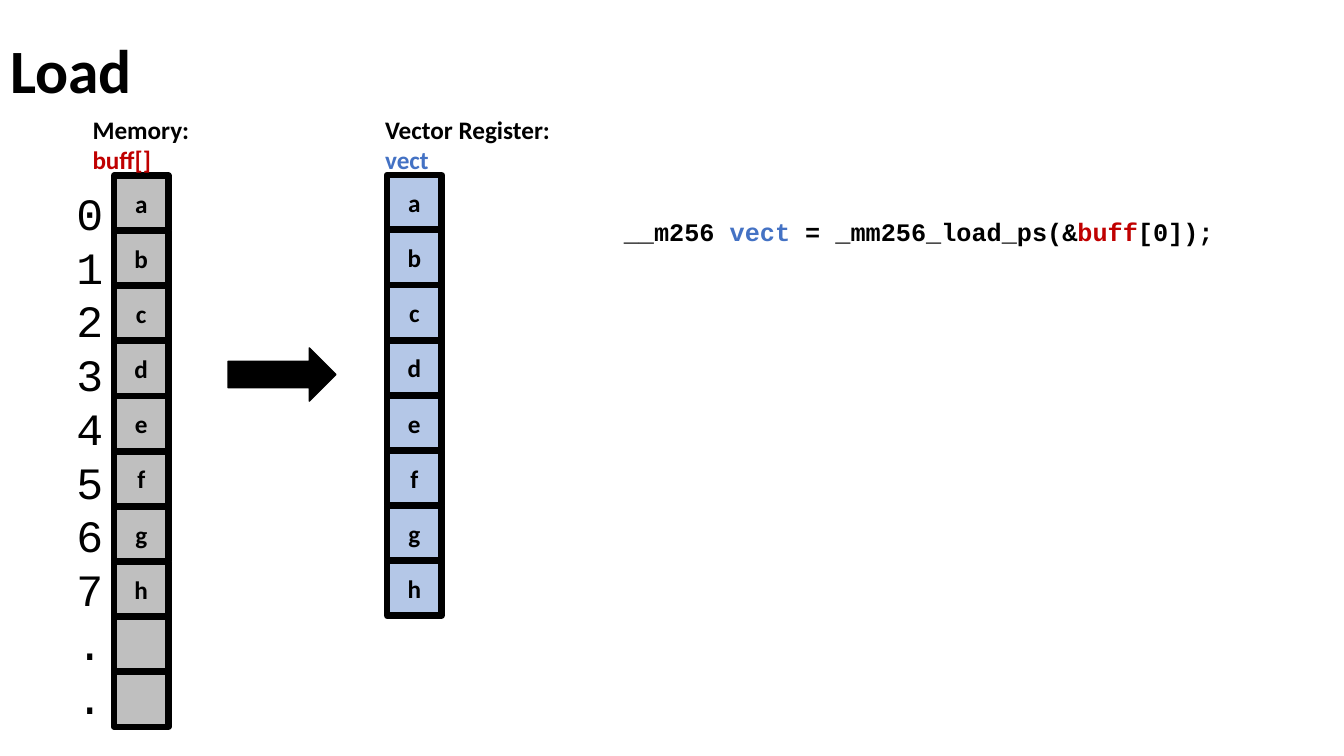
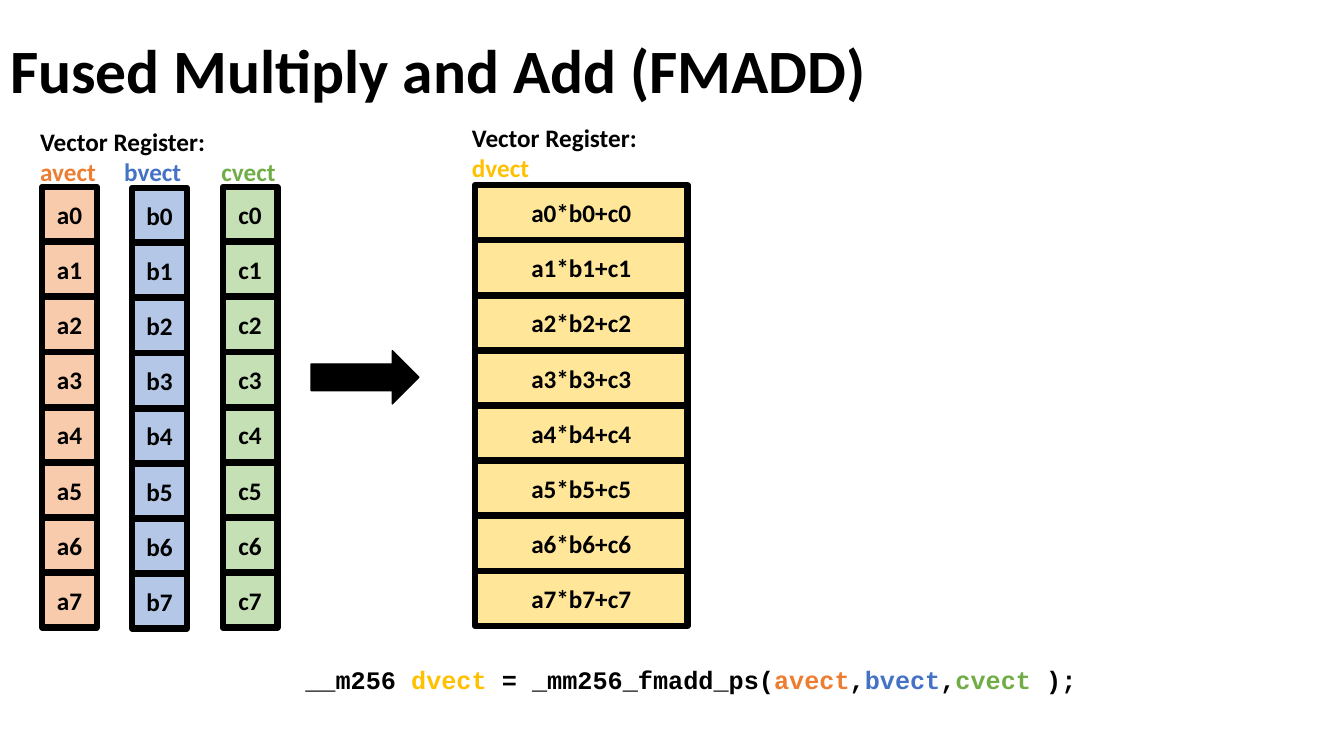
from pptx import Presentation
from pptx.dml.color import RGBColor
from pptx.enum.shapes import MSO_SHAPE
from pptx.enum.text import MSO_ANCHOR, PP_ALIGN
from pptx.oxml.ns import qn
from pptx.util import Pt
from lxml.etree import SubElement

# Shared colours and text formats
BLACK, RED, BLUE = "000000", "C00000", "4472C4"
ORANGE, GREEN, GOLD = "ED7D31", "70AD47", "FFC000"
GREY_FILL, BLUE_FILL, ORANGE_FILL = "BFBFBF", "B4C7E7", "F8CBAD"
GREEN_FILL, GOLD_FILL = "C5E0B4", "FFE699"

TITLE = {"name": "Calibri", "size": Pt(44), "bold": True}
LABEL = {"name": "Calibri", "size": Pt(18), "bold": True}
CODE = {"name": "Courier New", "size": Pt(18), "bold": True}
INDEX = {"name": "Courier New", "size": Pt(32), "bold": False}

# Shared sizes in points
CELL, CELL_STEP, CELL_BORDER = 39, 39.4, 4.5
ARROW_WIDTH, ARROW_HEIGHT = 77, 38
LABEL_HEIGHT, CODE_HEIGHT = 51, 29
INDEX_SPACING = 38.4

# Content: texts are (box, format, paragraphs of (text, colour) runs, tab stops)
# columns are (left, top, width, fill, cell texts)
LETTERS = list("abcdefgh")
LANES = range(8)
INDEXES = list("01234567..")

SLIDES = [
    {
        "title": "Load",
        "columns": [
            (81.4, 125.5, CELL, GREY_FILL, LETTERS + ["", ""]),
            (276.5, 125, CELL, BLUE_FILL, LETTERS),
        ],
        "texts": [
            ((59, 78, 84, LABEL_HEIGHT), LABEL,
             [[("Memory:", BLACK)], [("buff[]", RED)]], []),
            ((268, 78, 146, LABEL_HEIGHT), LABEL,
             [[("Vector Register:", BLACK)], [("vect", BLUE)]], []),
            ((47.5, 129, CELL, 391), INDEX,
             [[(index, BLACK)] for index in INDEXES], []),
            ((438.5, 151, 464, CODE_HEIGHT), CODE,
             [[("__m256 ", BLACK), ("vect ", BLUE),
               ("= _mm256_load_ps(&", BLACK), ("buff", RED),
               ("[0]);", BLACK)]], []),
        ],
        "arrow": (163, 248.5),
    },
    {
        "title": "Fused Multiply and Add (FMADD)",
        "columns": [
            (30.2, 133.5, CELL, ORANGE_FILL, [f"a{i}" for i in LANES]),
            (94.5, 134.2, CELL, BLUE_FILL, [f"b{i}" for i in LANES]),
            (159.2, 133.5, CELL, GREEN_FILL, [f"c{i}" for i in LANES]),
            (339.2, 132.3, 152, GOLD_FILL, [f"a{i}*b{i}+c{i}" for i in LANES]),
        ],
        "texts": [
            ((21.6, 86.5, 212, LABEL_HEIGHT), LABEL,
             [[("Vector Register:", BLACK)],
              [("avect\t", ORANGE), ("bvect\t", BLUE), ("cvect", GREEN)]],
             [60, 129.5]),
            ((330, 83.5, 146, LABEL_HEIGHT), LABEL,
             [[("Vector Register:", BLACK)], [("dvect", GOLD)]], []),
            ((211, 471, 612, CODE_HEIGHT), CODE,
             [[("__m256 ", BLACK), ("dvect ", GOLD),
               ("= _mm256_fmadd_ps(", BLACK), ("avect", ORANGE), (",", BLACK),
               ("bvect", BLUE), (",", BLACK), ("cvect ", GREEN),
               (");", BLACK)]], []),
        ],
        "arrow": (222.3, 250.5),
    },
]


def color(value):
    return RGBColor.from_string(value)


def add_run(paragraph, text, text_color, text_format):
    run = paragraph.add_run()
    run.text = text
    for name, value in text_format.items():
        setattr(run.font, name, value)
    run.font.color.rgb = color(text_color)


def set_title(slide, text):
    frame = slide.shapes.title.text_frame
    frame.vertical_anchor = MSO_ANCHOR.MIDDLE
    paragraph = frame.paragraphs[0]
    paragraph.alignment = PP_ALIGN.LEFT
    paragraph.line_spacing = 0.9
    add_run(paragraph, text, BLACK, TITLE)


def add_text(slide, box, text_format, lines, tab_stops):
    frame = slide.shapes.add_textbox(*map(Pt, box)).text_frame
    frame.word_wrap = True
    for number, runs in enumerate(lines):
        paragraph = frame.add_paragraph() if number else frame.paragraphs[0]
        if text_format is INDEX:
            paragraph.line_spacing = Pt(INDEX_SPACING)
        if tab_stops:
            properties = paragraph._p.get_or_add_pPr()
            tab_list = SubElement(properties, qn("a:tabLst"))
            for stop in tab_stops:
                SubElement(tab_list, qn("a:tab"), pos=str(Pt(stop)), algn="l")
        for text, text_color in runs:
            add_run(paragraph, text, text_color, text_format)


def add_block(slide, kind, box, fill, border):
    shape = slide.shapes.add_shape(kind, *map(Pt, box))
    shape.shadow.inherit = False
    shape.fill.solid()
    shape.fill.fore_color.rgb = color(fill)
    shape.line.color.rgb = color(BLACK)
    shape.line.width = Pt(border)
    return shape


def add_column(slide, left, top, width, fill, texts):
    for row, text in enumerate(texts):
        box = (left, top + row * CELL_STEP, width, CELL)
        cell = add_block(slide, MSO_SHAPE.RECTANGLE, box, fill, CELL_BORDER)
        if text:
            frame = cell.text_frame
            frame.vertical_anchor = MSO_ANCHOR.MIDDLE
            frame.word_wrap = False
            frame.paragraphs[0].alignment = PP_ALIGN.CENTER
            add_run(frame.paragraphs[0], text, BLACK, LABEL)


def main():
    presentation = Presentation()
    presentation.slide_width, presentation.slide_height = Pt(960), Pt(540)

    # Title position, shared through the layout
    layout = presentation.slide_layouts[5]
    title_box = {"left": 0, "top": 0, "width": 828, "height": 104.4}
    for name, value in title_box.items():
        setattr(layout.placeholders[0], name, Pt(value))

    for content in SLIDES:
        slide = presentation.slides.add_slide(layout)
        set_title(slide, content["title"])
        for column in content["columns"]:
            add_column(slide, *column)
        for text in content["texts"]:
            add_text(slide, *text)
        arrow_box = (*content["arrow"], ARROW_WIDTH, ARROW_HEIGHT)
        add_block(slide, MSO_SHAPE.RIGHT_ARROW, arrow_box, BLACK, 1)

    presentation.save("out.pptx")


if __name__ == "__main__":
    main()
